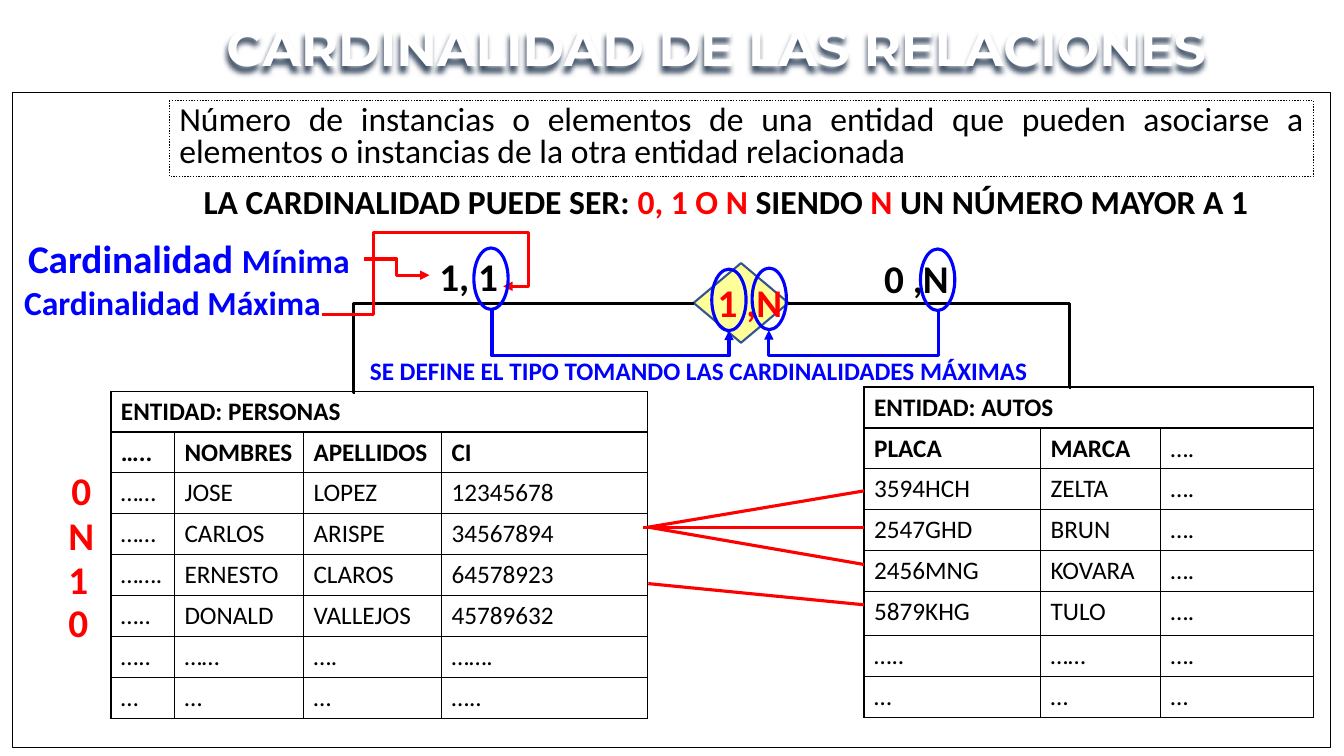
"""Build the slide on the cardinality of relationships."""
import pptx
import pptx.util
import pptx.dml.color
import pptx.enum.dml
import pptx.enum.shapes
import pptx.enum.text
import pptx.oxml.ns

Inches = pptx.util.Inches
Pt = pptx.util.Pt
RGBColor = pptx.dml.color.RGBColor
qn = pptx.oxml.ns.qn
SHAPE = pptx.enum.shapes.MSO_SHAPE
CONNECTOR = pptx.enum.shapes.MSO_CONNECTOR
TOP = pptx.enum.text.MSO_ANCHOR.TOP
NAMESPACE = pptx.oxml.ns.nsdecls("a")

BLACK = RGBColor(0, 0, 0)
WHITE = RGBColor(255, 255, 255)
RED = RGBColor(255, 0, 0)
BLUE = RGBColor(0, 0, 255)
YELLOW = RGBColor(0xFF, 0xFF, 0x99)
NAVY = RGBColor(0x32, 0x54, 0x91)
SLATE = RGBColor(0x44, 0x54, 0x6A)

TITLE = "CARDINALIDAD DE LAS RELACIONES"
DEFINITION = ("Número de instancias o elementos de una entidad que pueden asociarse a "
              "elementos o instancias de la otra entidad relacionada")
PEOPLE = [
    ["ENTIDAD: PERSONAS"],
    ["…..", "NOMBRES", "APELLIDOS", "CI"],
    ["……", "JOSE", "LOPEZ", "12345678"],
    ["……", "CARLOS", "ARISPE", "34567894"],
    ["…….", "ERNESTO", "CLAROS", "64578923"],
    ["…..", "DONALD", "VALLEJOS", "45789632"],
    ["…..", "……", "….", "……."],
    ["…", "…", "…", "….."],
]
CARS = [
    ["ENTIDAD: AUTOS"],
    ["PLACA", "MARCA", "…."],
    ["3594HCH", "ZELTA", "…."],
    ["2547GHD", "BRUN", "…."],
    ["2456MNG", "KOVARA", "…."],
    ["5879KHG", "TULO", "…."],
    ["…..", "……", "…."],
    ["…", "…", "…"],
]
TABLES = [
    (1.1, 3.88, [0.63, 1.28, 1.37, 2.04], [0.4] * 8, PEOPLE),
    (8.57, 3.84, [1.75, 1.19, 1.52], [0.4] * 5 + [0.44] + [0.4] * 2, CARS),
]
LABELS = [
    ((1.92, 1.75, 10.65, 0.5), 24, [
        ("LA CARDINALIDAD PUEDE SER: ", BLACK), ("0, 1 O N ", RED), ("SIENDO ", BLACK),
        ("N", RED), (" UN NÚMERO MAYOR A 1", BLACK)]),
    ((0.61, 4.58, 0.4, 0.57), 28, [("0", RED)]),
    ((0.58, 5.02, 0.46, 0.57), 28, [("N", RED)]),
    ((0.58, 5.46, 0.4, 0.57), 28, [("1", RED)]),
    ((0.58, 5.89, 0.4, 0.57), 28, [("0", RED)]),
    ((4.26, 2.45, 0.79, 0.57), 28, [("1, 1", BLACK)]),
    ((8.67, 2.47, 0.85, 0.57), 28, [("0 ,N", BLACK)]),
    ((7.02, 2.71, 0.85, 0.57), 28, [("1 ,N", RED)]),
    ((0.18, 2.28, 3.43, 0.57), 28, [("Cardinalidad ", BLUE), ("Mínima", BLUE, 24)]),
    ((0.14, 2.75, 3.17, 0.5), 24, [("Cardinalidad Máxima", BLUE)]),
    ((3.57, 3.48, 6.79, 0.4), 18, [
        ("SE DEFINE EL TIPO TOMANDO LAS CARDINALIDADES MÁXIMAS", BLUE)]),
]
ROW_LINKS = [(6.43, 5.23, 8.57, 4.87), (6.38, 5.23, 8.57, 5.23),
             (6.43, 5.23, 8.57, 5.6), (6.43, 5.79, 8.57, 6)]
ELBOWS = [
    (3.52, 3.01, 3.36, 0.88, 0, "flipV", [-0.003], BLACK, False),
    (7.82, 3.01, 2.8, 0.83, 180, None, [0.004], BLACK, False),
    (3.61, 2.57, 0.65, 0.16, 0, None, [0.5], RED, True),
    (3.19, 2.84, 1.8, 0.28, 0, "flipV", [0.288, 2.916, 1.139], RED, True),
    (5.95, 2, 0.21, 2.35, 270, "flipH", [2.193], BLUE, True),
    (8.37, 2.34, 0.19, 1.68, 90, None, [2.344], BLUE, True),
]
RINGS = [(4.7, 2.46), (9.13, 2.47), (7.06, 2.67), (7.46, 2.66)]


def set_font(font, size, color, bold=True, name="Calibri"):
    font.size, font.bold, font.name = Pt(size), bold, name
    font.color.rgb = color

def add_outline(kind, bounds, color, weight, fill=None):
    shape = page.shapes.add_shape(kind, *map(Inches, bounds))
    shape.shadow.inherit = False
    shape.fill.background()
    if fill is not None:
        shape.fill.solid()
        shape.fill.fore_color.rgb = fill
    shape.line.color.rgb = color
    shape.line.width = Pt(weight)
    return shape

def add_line(kind, ends, color):
    line = page.shapes.add_connector(kind, *map(Inches, ends))
    line.line.color.rgb = color
    line.line.width = Pt(2.25)
    line.element.spPr.append(pptx.oxml.parse_xml(f"<a:effectLst {NAMESPACE}/>"))
    return line

def add_elbow(left, top, width, height, turn, flip, bends, color, arrow):
    line = add_line(CONNECTOR.ELBOW, (left, top, left + width, top + height), color)
    properties = line.element.spPr
    frame = properties.find(qn("a:xfrm"))
    frame.set("rot", str(turn * 60000))
    if flip:
        frame.set(flip, "1")
    geometry = properties.find(qn("a:prstGeom"))
    geometry.set("prst", f"bentConnector{len(bends) + 2}")
    guides = "".join(f'<a:gd name="adj{i}" fmla="val {round(bend * 100000)}"/>'
                     for i, bend in enumerate(bends, 1))
    for old in list(geometry):
        geometry.remove(old)
    geometry.append(pptx.oxml.parse_xml(f"<a:avLst {NAMESPACE}>{guides}</a:avLst>"))
    if arrow:
        properties.find(qn("a:ln")).append(
            pptx.oxml.parse_xml(f'<a:tailEnd {NAMESPACE} type="triangle"/>'))

def add_label(bounds, size, spans):
    box = page.shapes.add_textbox(*map(Inches, bounds))
    box.text_frame.word_wrap = False
    box.text_frame.auto_size = pptx.enum.text.MSO_AUTO_SIZE.SHAPE_TO_FIT_TEXT
    para = box.text_frame.paragraphs[0]
    set_font(para.font, size, spans[0][1])
    for text, color, *own_size in spans:
        span = para.add_run()
        span.text = text
        if len(spans) > 1:
            set_font(span.font, own_size[0] if own_size else size, color)

def add_entity(left, top, widths, heights, rows):
    bounds = (left, top, sum(widths), sum(heights))
    table = page.shapes.add_table(len(rows), len(widths), *map(Inches, bounds)).table
    table.first_row = table.horz_banding = False
    for column, width in zip(table.columns, widths):
        column.width = Inches(width)
    for row, height in zip(table.rows, heights):
        row.height = Inches(height)
    table.cell(0, 0).merge(table.cell(0, len(widths) - 1))
    for r, row in enumerate(rows):
        for c in range(len(widths)):
            cell = table.cell(r, c)
            for side in ("lnL", "lnR", "lnT", "lnB"):
                cell._tc.get_or_add_tcPr().append(pptx.oxml.parse_xml(
                    f'<a:{side} {NAMESPACE} w="12700"><a:solidFill>'
                    f'<a:srgbClr val="{BLACK}"/></a:solidFill></a:{side}>'))
            cell.fill.background()
            if c < len(row):
                cell.text = row[c]
                set_font(cell.text_frame.paragraphs[0].font, 18, BLACK, r < 2 and row[c] != "….")


deck = pptx.Presentation()
deck.slide_width, deck.slide_height = Inches(13.33), Inches(7.5)
page = deck.slides.add_slide(deck.slide_layouts[5])

title = page.shapes.title
title.left, title.top, title.width, title.height = map(Inches, (1.43, 0.16, 11.35, 0.61))
frame = title.text_frame
frame.text, frame.vertical_anchor = TITLE, TOP
frame.margin_left = frame.margin_right = frame.margin_top = frame.margin_bottom = 0
frame.paragraphs[0].alignment = pptx.enum.text.PP_ALIGN.CENTER
set_font(frame.paragraphs[0].font, 36, WHITE, name="Montserrat")
title.element.spPr.append(pptx.oxml.parse_xml(
    f'<a:effectLst {NAMESPACE}><a:outerShdw blurRad="50800" dist="50800" dir="6600000">'
    f'<a:srgbClr val="{SLATE}"/></a:outerShdw></a:effectLst>'))

add_outline(SHAPE.RECTANGLE, (0.12, 0.92, 13.08, 6.5), BLACK, 0.75, WHITE)
definition = add_outline(SHAPE.RECTANGLE, (1.68, 1, 11.35, 0.75), BLACK, 1)
definition.line.dash_style = pptx.enum.dml.MSO_LINE.ROUND_DOT
definition.text_frame.text = DEFINITION
definition.text_frame.vertical_anchor = TOP
para = definition.text_frame.paragraphs[0]
para.alignment, para.line_spacing = pptx.enum.text.PP_ALIGN.JUSTIFY, Pt(23)
set_font(para.font, 24, BLACK, False)

for entity in TABLES:
    add_entity(*entity)
for link in ROW_LINKS:
    add_line(CONNECTOR.STRAIGHT, link, RED)
add_outline(SHAPE.DIAMOND, (6.88, 2.61, 0.94, 0.79), NAVY, 1.5, YELLOW)
for label in LABELS:
    add_label(*label)
for elbow in ELBOWS:
    add_elbow(*elbow)
for corner in RINGS:
    add_outline(SHAPE.OVAL, (*corner, 0.34, 0.61), BLUE, 2.25)
deck.save("out.pptx")
